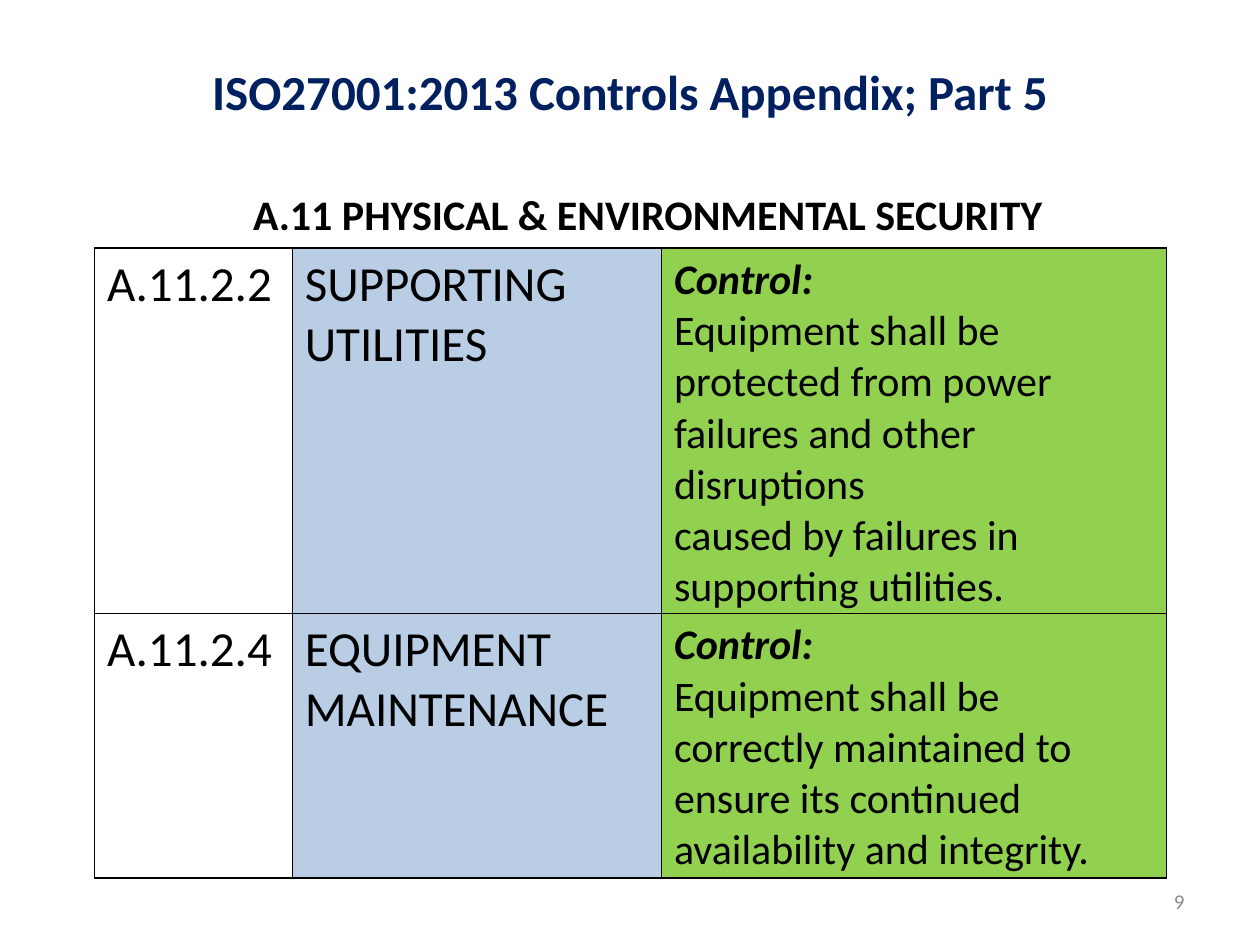
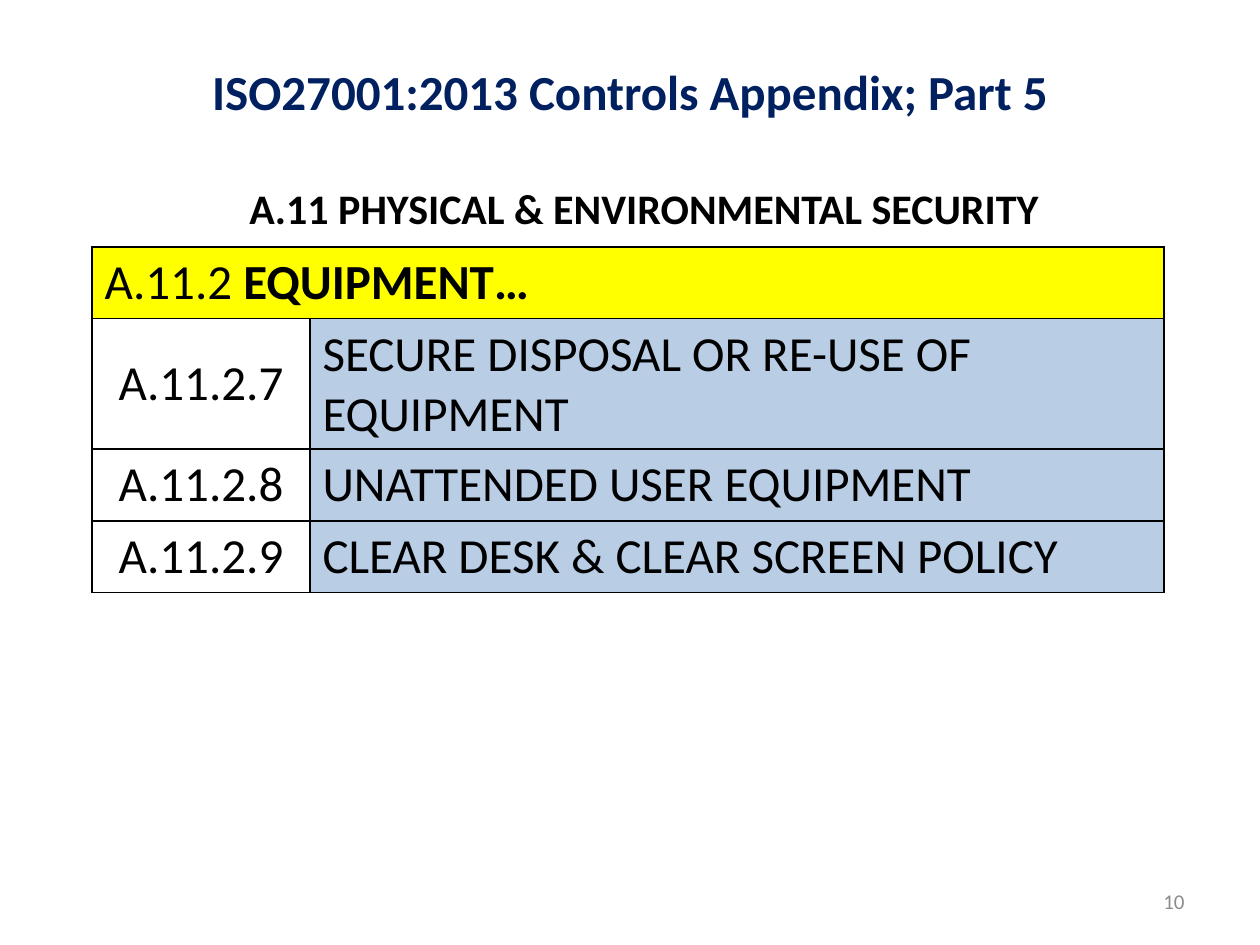
from dataclasses import dataclass

import lxml.etree
import pptx
import pptx.dml.color
import pptx.enum.text
import pptx.oxml.ns
import pptx.util
from pptx.util import Inches

RGB = pptx.dml.color.RGBColor
ALIGN = pptx.enum.text.PP_ALIGN
ANCHOR = pptx.enum.text.MSO_ANCHOR

# Shared look
NAVY = RGB(0x00, 0x20, 0x60)
BLACK = RGB(0x00, 0x00, 0x00)
GRAY = RGB(0x8C, 0x8C, 0x8C)
BLUE = RGB(0xB9, 0xCD, 0xE5)
GREEN = RGB(0x92, 0xD0, 0x50)
YELLOW = RGB(0xFF, 0xFF, 0x00)
FONT = "Calibri"
TITLE = "ISO27001:2013 Controls Appendix; Part 5"
TOPIC = "A.11 PHYSICAL & ENVIRONMENTAL SECURITY"


@dataclass(frozen=True)
class Run:
    text: str
    size: float = 28
    bold: bool = False
    slant: bool = False
    color: RGB = BLACK


@dataclass(frozen=True)
class Cell:
    lines: list[list[Run]]
    fill: RGB | None = None
    align: ALIGN = ALIGN.LEFT
    anchor: ANCHOR = ANCHOR.TOP
    foot: float = 0.05
    span: int = 1


@dataclass(frozen=True)
class Page:
    number: int
    topic_at: tuple[float, float]
    table_at: tuple[float, float]
    widths: list[float]
    heights: list[float]
    rows: list[list[Cell]]


def write(frame, lines: list[list[Run]], align: ALIGN) -> None:
    """Fill a text frame, one paragraph per line."""
    for i, line in enumerate(lines):
        para = frame.paragraphs[0] if i == 0 else frame.add_paragraph()
        para.alignment = align
        for part in line:
            run = para.add_run()
            run.text = part.text
            run.font.name = FONT
            run.font.size = pptx.util.Pt(part.size)
            run.font.bold = part.bold
            run.font.italic = part.slant
            run.font.color.rgb = part.color


def label(slide, at: tuple[float, float], size: tuple[float, float], run: Run,
          align: ALIGN = ALIGN.LEFT, anchor: ANCHOR = ANCHOR.MIDDLE,
          wrap: bool = True) -> None:
    box = slide.shapes.add_textbox(*map(Inches, at + size))
    frame = box.text_frame
    frame.word_wrap = wrap
    frame.vertical_anchor = anchor
    write(frame, [[run]], align)


def border(cell) -> None:
    """Draw a black one-point line on every side."""
    props = cell._tc.get_or_add_tcPr()
    qn = pptx.oxml.ns.qn
    for side in "LRTB":
        line = lxml.etree.SubElement(props, qn(f"a:ln{side}"),
                                     w=str(pptx.util.Pt(1)))
        fill = lxml.etree.SubElement(line, qn("a:solidFill"))
        lxml.etree.SubElement(fill, qn("a:srgbClr"), val=str(BLACK))


def grid(slide, page: Page) -> None:
    size = sum(page.widths), sum(page.heights)
    table = slide.shapes.add_table(
        len(page.heights), len(page.widths),
        *map(Inches, page.table_at + size)).table
    table.first_row = table.horz_banding = False
    for col, width in zip(table.columns, page.widths):
        col.width = Inches(width)
    for row, height in zip(table.rows, page.heights):
        row.height = Inches(height)
    for cell in table.iter_cells():
        border(cell)
        cell.fill.background()
    for r, row in enumerate(page.rows):
        for c, item in enumerate(row):
            cell = table.cell(r, c)
            if item.span > 1:
                cell.merge(table.cell(r, c + item.span - 1))
            if item.fill is not None:
                cell.fill.solid()
                cell.fill.fore_color.rgb = item.fill
            cell.vertical_anchor = item.anchor
            cell.margin_bottom = Inches(item.foot)
            write(cell.text_frame, item.lines, item.align)


def control(code: str, name: str, *texts: str) -> list[Cell]:
    """Row with a code, a name and the wording of the control."""
    lines = [[Run("Control:", 24, bold=True, slant=True)]]
    lines += [[Run(text, 24)] for text in texts]
    return [Cell([[Run(code)]]), Cell([[Run(name)]], BLUE),
            Cell(lines, GREEN, foot=0)]


def entry(code: str, name: str) -> list[Cell]:
    """Row with a centred code and a name."""
    return [Cell([[Run(code)]], align=ALIGN.CENTER, anchor=ANCHOR.MIDDLE),
            Cell([[Run(name)]], BLUE, anchor=ANCHOR.MIDDLE)]


PAGES = [
    Page(9, (1.91, 1.45), (0.75, 1.97), [1.57, 2.93, 4.01], [2.9, 2.1], [
        control("A.11.2.2", "SUPPORTING UTILITIES",
                "Equipment shall be protected from power failures and other "
                "disruptions",
                "caused by failures in supporting utilities."),
        control("A.11.2.4", "EQUIPMENT MAINTENANCE",
                "Equipment shall be correctly maintained to ensure its "
                "continued",
                "availability and integrity."),
    ]),
    Page(10, (1.88, 1.4), (0.73, 1.96), [1.73, 6.78],
         [0.57, 1.03, 0.57, 0.57], [
        [Cell([[Run("A.11.2 "), Run("EQUIPMENT…", bold=True)]], YELLOW,
              span=2)],
        entry("A.11.2.7", "SECURE DISPOSAL OR RE-USE OF EQUIPMENT"),
        entry("A.11.2.8", "UNATTENDED USER EQUIPMENT"),
        entry("A.11.2.9", "CLEAR DESK & CLEAR SCREEN POLICY"),
    ]),
]


def build(deck, page: Page) -> None:
    slide = deck.slides.add_slide(deck.slide_layouts[6])
    # Page number, title and topic
    label(slide, (7.17, 6.95), (2.33, 0.4),
          Run(str(page.number), 12, color=GRAY), ALIGN.RIGHT)
    label(slide, (0.5, 0.23), (9, 0.98),
          Run(TITLE, bold=True, color=NAVY), ALIGN.CENTER)
    label(slide, page.topic_at, (6.52, 0.5), Run(TOPIC, 24, bold=True),
          anchor=ANCHOR.TOP, wrap=False)
    # Table of controls
    grid(slide, page)


def main() -> None:
    deck = pptx.Presentation()
    deck.slide_width, deck.slide_height = Inches(10), Inches(7.5)
    for page in PAGES:
        build(deck, page)
    deck.save("out.pptx")


if __name__ == "__main__":
    main()
